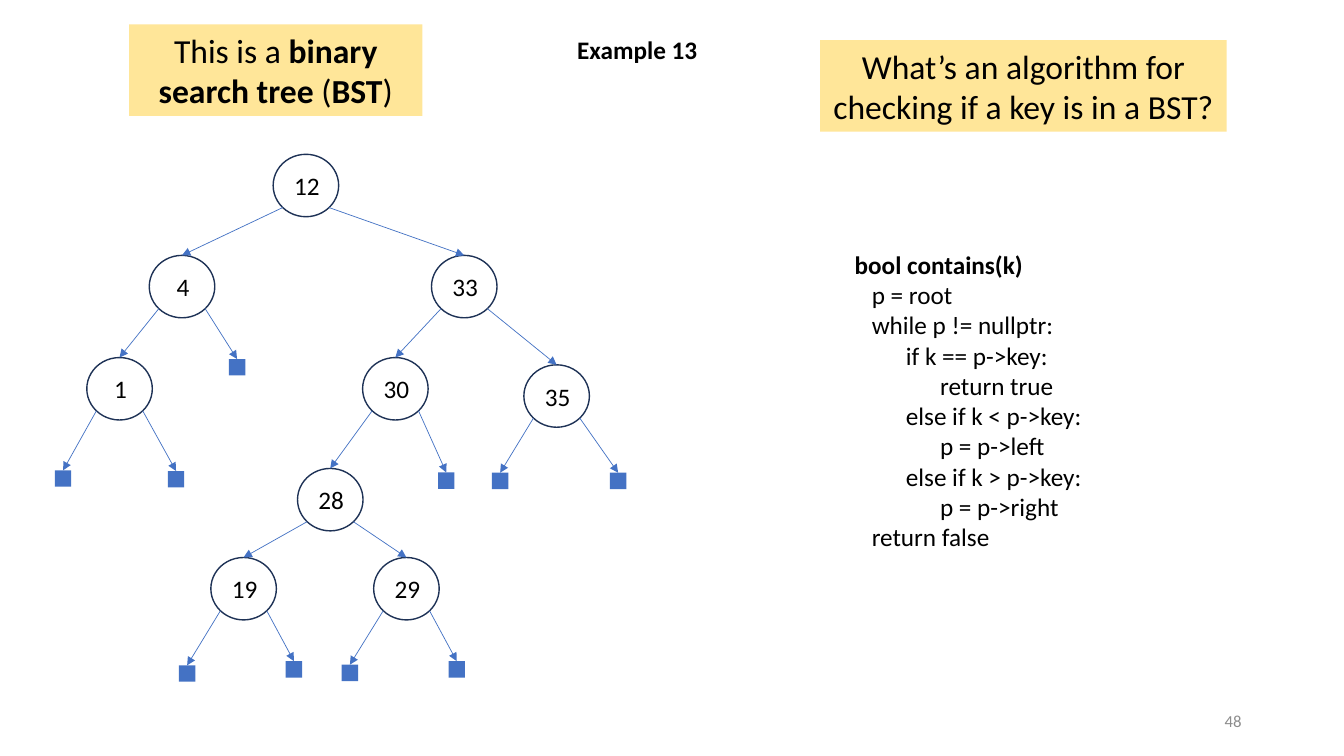
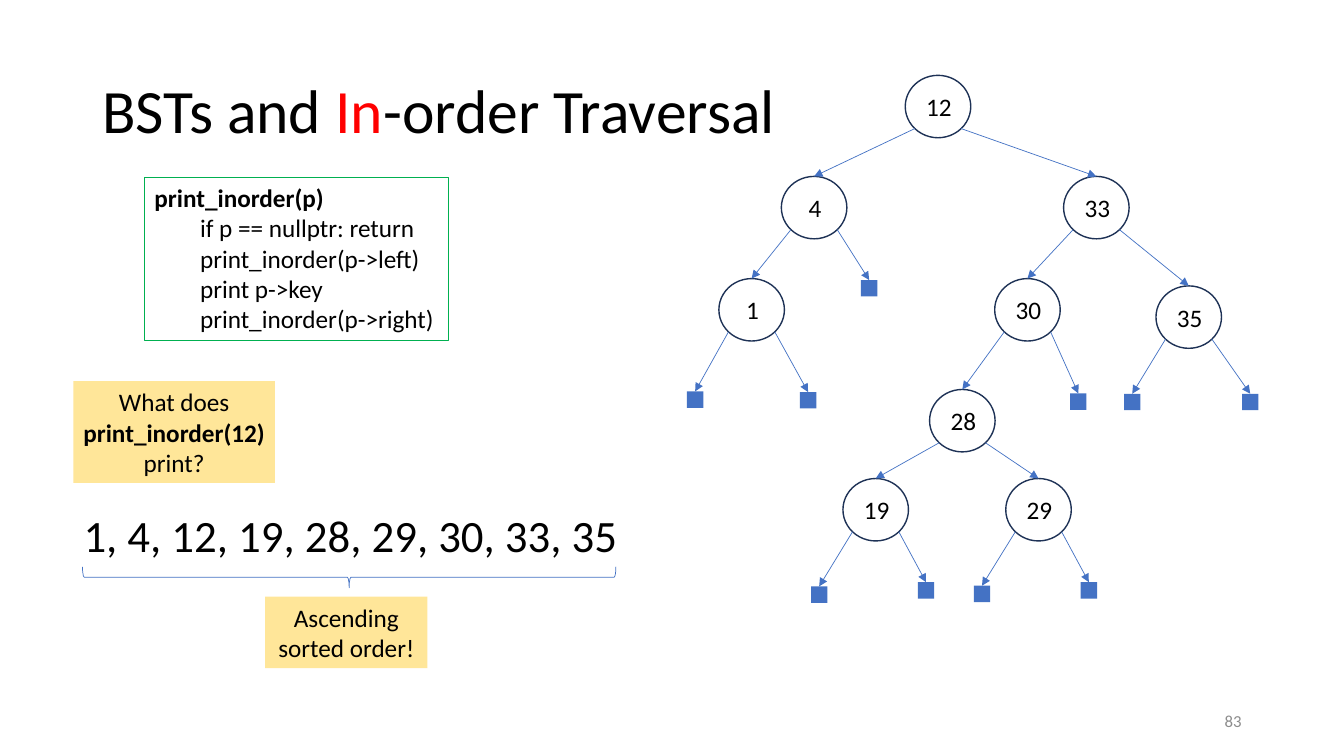
from dataclasses import dataclass
from math import sqrt

from lxml.etree import SubElement
from pptx import Presentation
from pptx.dml.color import RGBColor
from pptx.enum.shapes import MSO_CONNECTOR, MSO_SHAPE
from pptx.enum.text import MSO_ANCHOR, PP_ALIGN
from pptx.oxml.ns import qn
from pptx.util import Pt


@dataclass(frozen=True)
class Theme:
    font: str = "Calibri"
    ink: str = "000000"
    accent: str = "4472C4"
    outline: str = "1E3256"
    highlight: str = "FFE699"
    code_frame: str = "00B050"
    emphasis: str = "FF0000"
    muted: str = "8C8C8C"
    title_size: int = 44
    keys_size: int = 32
    question_size: int = 24
    body_size: int = 18
    footer_size: int = 12


@dataclass(frozen=True)
class Span:
    text: str
    bold: bool = False
    color: str = Theme.ink


@dataclass(frozen=True)
class Leaf:
    across: float
    down: float


@dataclass(frozen=True)
class Node:
    left: float
    top: float
    children: tuple


THEME = Theme()
NODE_WIDTH, NODE_HEIGHT, LEAF_SIZE = 46.8, 44.6, 11.7
TREE = {
    12: Node(195.1, 110.2, (4, 33)),
    4: Node(106.6, 182.4, (1, Leaf(22.8, 36))),
    33: Node(308.2, 182.4, (30, 35)),
    1: Node(62, 255.4, (Leaf(-23.8, 42.5), Leaf(23.8, 43))),
    30: Node(259, 255.4, (28, Leaf(19.8, 44))),
    35: Node(374.2, 260.6, (Leaf(-23.8, 39), Leaf(27.4, 39))),
    28: Node(212.5, 334.6, (19, 29)),
    19: Node(150.6, 398.2, (Leaf(-23.8, 39), Leaf(19.4, 36))),
    29: Node(266.9, 398.2, (Leaf(-23.8, 38.5), Leaf(19.4, 36))),
}


class SlideBuilder:
    def __init__(self, deck, theme):
        self.deck = deck
        self.theme = theme
        self.page = None

    def new_page(self, number):
        self.page = self.deck.slides.add_slide(self.deck.slide_layouts[6])
        self.text((678, 500.4, 216, 28.8),
                  [[Span(str(number), color=self.theme.muted)]],
                  self.theme.footer_size, PP_ALIGN.RIGHT, MSO_ANCHOR.MIDDLE)

    def add_spans(self, frame, paragraphs, size, align):
        frame.word_wrap = True
        for index, spans in enumerate(paragraphs):
            para = frame.paragraphs[0] if index == 0 else frame.add_paragraph()
            para.alignment = align
            for span in spans:
                run = para.add_run()
                run.text = span.text
                run.font.name = self.theme.font
                run.font.size = Pt(size)
                run.font.bold = span.bold
                run.font.color.rgb = RGBColor.from_string(span.color)

    def text(self, place, paragraphs, size, align=PP_ALIGN.LEFT, anchor=MSO_ANCHOR.TOP):
        box = self.page.shapes.add_textbox(*map(Pt, place))
        box.text_frame.vertical_anchor = anchor
        self.add_spans(box.text_frame, paragraphs, size, align)
        return box

    def title(self, place, spans):
        box = self.text(place, [spans], self.theme.title_size, anchor=MSO_ANCHOR.MIDDLE)
        box.text_frame.paragraphs[0].line_spacing = 0.9

    def shape(self, kind, place, fill=None, line=None, width=1):
        shape = self.page.shapes.add_shape(kind, *map(Pt, place))
        shape.shadow.inherit = False
        if fill:
            shape.fill.solid()
            shape.fill.fore_color.rgb = RGBColor.from_string(fill)
        else:
            shape.fill.background()
        if line:
            shape.line.color.rgb = RGBColor.from_string(line)
            shape.line.width = Pt(width)
        else:
            shape.line.fill.background()
        return shape

    def callout(self, place, spans, size):
        box = self.shape(MSO_SHAPE.RECTANGLE, place, fill=self.theme.highlight)
        box.text_frame.margin_left = box.text_frame.margin_right = Pt(6)
        self.add_spans(box.text_frame, [spans], size, PP_ALIGN.CENTER)

    def code(self, place, heading, lines, first_indent, step=0, framed=False):
        paragraphs = [[Span(heading, bold=True)]] + [[Span(line)] for _, line in lines]
        box = self.text(place, paragraphs, self.theme.body_size)
        if framed:
            box.line.color.rgb = RGBColor.from_string(self.theme.code_frame)
            box.line.width = Pt(0.75)
        for para, (level, _) in zip(box.text_frame.paragraphs[1:], lines):
            indent = Pt(first_indent + level * step)
            para._p.get_or_add_pPr().set("marL", str(indent))

    def arrow(self, start, target):
        end = target.left + target.width // 2, target.top
        edge = self.page.shapes.add_connector(
            MSO_CONNECTOR.STRAIGHT, *map(Pt, start), *end)
        edge.end_connect(target, 0)
        edge.line.color.rgb = RGBColor.from_string(self.theme.accent)
        edge.line.width = Pt(0.5)
        properties = edge._element.spPr
        SubElement(properties.find(qn("a:ln")), qn("a:tailEnd"), type="triangle")
        SubElement(properties, qn("a:effectLst"))

    def leaf(self, center, top):
        place = center - LEAF_SIZE / 2, top, LEAF_SIZE, LEAF_SIZE
        return self.shape(MSO_SHAPE.RECTANGLE, place, fill=self.theme.accent)

    def tree(self, key, shift_x=0, shift_y=0):
        node = TREE[key]
        left, top = node.left + shift_x, node.top + shift_y
        circle = self.shape(MSO_SHAPE.OVAL, (left, top, NODE_WIDTH, NODE_HEIGHT),
                            line=self.theme.outline)
        frame = circle.text_frame
        frame.margin_left = Pt(1.4)
        frame.margin_right = frame.margin_top = frame.margin_bottom = 0
        self.add_spans(frame, [[Span(str(key))]], self.theme.body_size, PP_ALIGN.CENTER)
        start_y = top + NODE_HEIGHT / 2 * (1 + sqrt(0.5))
        for side, child in zip((-1, 1), node.children):
            start_x = left + NODE_WIDTH / 2 * (1 + side * sqrt(0.5))
            if isinstance(child, Leaf):
                target = self.leaf(start_x + child.across, start_y + child.down)
            else:
                target = self.tree(child, shift_x, shift_y)
            self.arrow((start_x, start_y), target)
        return circle

    def brace(self, place):
        brace = self.shape(MSO_SHAPE.LEFT_BRACE, place, line=self.theme.accent, width=0.5)
        brace.rotation = 270


def search_page(builder):
    theme = builder.theme
    builder.new_page(48)
    builder.callout((92.2, 17.4, 209.5, 65.4),
                    [Span("This is a "), Span("binary search tree", bold=True),
                     Span(" ("), Span("BST", bold=True), Span(")")],
                    theme.question_size)
    builder.callout((585.8, 28.6, 290.4, 65.4),
                    [Span("What’s an algorithm for checking if a key is in a BST?")],
                    theme.question_size)
    builder.text((405.2, 21.2, 106, 29),
                 [[Span("Example 13", bold=True)]], theme.body_size)
    builder.tree(12)
    builder.code((603.4, 174.5, 190, 247), "bool contains(k)", [
        (0, "p = root"),
        (0, "while p != nullptr:"),
        (1, "if k == p->key:"),
        (2, "return true"),
        (1, "else if k < p->key:"),
        (2, "p = p->left"),
        (1, "else if k > p->key:"),
        (2, "p = p->right"),
        (0, "return false"),
    ], first_indent=12.2, step=24.4)


def traversal_page(builder):
    theme = builder.theme
    builder.new_page(83)
    builder.title((66, 28.8, 502.6, 104.4),
                  [Span("BSTs and "), Span("In", color=theme.emphasis),
                   Span("-order Traversal")])
    builder.code((103.2, 126.8, 217, 116.4), "print_inorder(p)", [
        (0, "if p == nullptr: return"),
        (0, "print_inorder(p->left)"),
        (0, "print p->key"),
        (0, "print_inorder(p->right)"),
    ], first_indent=32.6, framed=True)
    builder.tree(12, 451.5, -56.4)
    builder.text((52.6, 359.3, 412, 46), [[Span("1, 4, 12, 19, 28, 29, 30, 33, 35")]],
                 theme.keys_size)
    builder.brace((241.9, 221.8, 15, 381))
    builder.callout((189.4, 426.2, 116, 51),
                    [Span("Ascending sorted order!")], theme.body_size)
    builder.callout((52.4, 272.2, 144, 72.7),
                    [Span("What does "), Span("print_inorder(12) ", bold=True),
                     Span("print?")], theme.body_size)


def main():
    deck = Presentation()
    deck.slide_width, deck.slide_height = Pt(960), Pt(540)
    builder = SlideBuilder(deck, THEME)
    search_page(builder)
    traversal_page(builder)
    deck.save("out.pptx")


if __name__ == "__main__":
    main()
